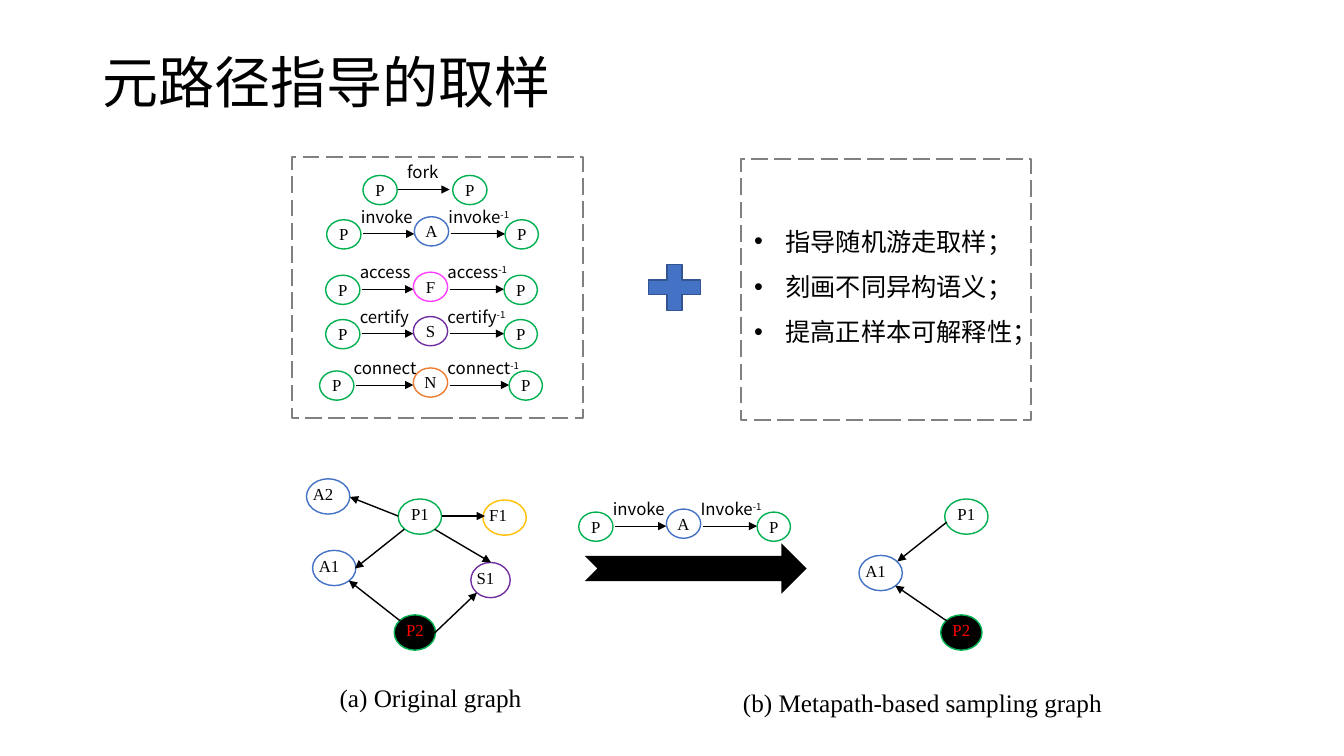
from dataclasses import dataclass

from lxml.etree import SubElement
from pptx import Presentation
from pptx.dml.color import RGBColor
from pptx.enum.dml import MSO_LINE
from pptx.enum.shapes import MSO_CONNECTOR as Conn, MSO_SHAPE as Geo
from pptx.enum.text import MSO_ANCHOR as Anchor, MSO_AUTO_SIZE as Fit, PP_ALIGN as Align
from pptx.oxml.ns import qn
from pptx.util import Inches, Pt


@dataclass(frozen=True)
class Theme:
    sans: str = "Noto Sans CJK SC"
    serif: str = "Times New Roman"
    black: str = "000000"
    red: str = "FF0000"
    green: str = "00B050"
    blue: str = "4472C4"
    navy: str = "325491"
    purple: str = "7030A0"
    gold: str = "FFC000"
    pink: str = "FF40FF"
    orange: str = "ED7D31"
    gray: str = "808080"
    title: int = 40
    body: int = 18
    small: int = 12


class Deck:
    def __init__(self, theme):
        self.theme = theme
        self.prs = Presentation()
        self.prs.slide_width = Inches(13.33)
        self.prs.slide_height = Inches(7.5)
        self.slide = self.prs.slides.add_slide(self.prs.slide_layouts[1])

    def place(self, shape, box):
        shape.left, shape.top, shape.width, shape.height = map(Inches, box)

    def run(self, para, text, size, font, color=None, base=None):
        run = para.add_run()
        run.text = text
        run.font.size = Pt(size)
        run.font.name = font
        run.font.color.rgb = RGBColor.from_string(color or self.theme.black)
        props = run.font._element
        SubElement(props, qn("a:ea")).set("typeface", font)
        if base:
            props.set("baseline", str(base * 1000))

    def title(self, text, box):
        shape = self.slide.shapes.title
        self.place(shape, box)
        shape.text_frame.vertical_anchor = Anchor.MIDDLE
        para = shape.text_frame.paragraphs[0]
        para.alignment = Align.LEFT
        para.line_spacing = 0.9
        self.run(para, text, self.theme.title, self.theme.sans)

    def bullets(self, items, box):
        shape = self.slide.placeholders[1]
        self.place(shape, box)
        frame = shape.text_frame
        frame.word_wrap = False
        frame.auto_size = Fit.SHAPE_TO_FIT_TEXT
        frame.vertical_anchor = Anchor.TOP
        for i, item in enumerate(items):
            para = frame.add_paragraph() if i else frame.paragraphs[0]
            para.line_spacing = 1.5
            para.space_before = Pt(0)
            props = para._p.get_or_add_pPr()
            props.set("marL", str(Inches(0.31)))
            props.set("indent", str(Inches(-0.31)))
            SubElement(props, qn("a:buFont")).set("typeface", "Arial")
            SubElement(props, qn("a:buChar")).set("char", "•")
            self.run(para, item, self.theme.body, self.theme.sans)

    def text(self, text, box, size, font, wrap=True, power=None):
        frame = self.slide.shapes.add_textbox(*map(Inches, box)).text_frame
        frame.word_wrap = wrap
        frame.auto_size = Fit.SHAPE_TO_FIT_TEXT
        para = frame.paragraphs[0]
        self.run(para, text, size, font)
        if power:
            self.run(para, power, size, font, base=30)

    def shape(self, geo, box, fill=None, line=None, width=1, dash=None):
        shape = self.slide.shapes.add_shape(geo, *map(Inches, box))
        shape.shadow.inherit = False
        if fill:
            shape.fill.solid()
            shape.fill.fore_color.rgb = RGBColor.from_string(fill)
        else:
            shape.fill.background()
        if line:
            shape.line.color.rgb = RGBColor.from_string(line)
            shape.line.width = Pt(width)
        else:
            shape.line.fill.background()
        if dash:
            shape.line.dash_style = dash
        return shape

    def node(self, name, box, line, fill=None, color=None, align=Align.CENTER):
        frame = self.shape(Geo.FLOWCHART_CONNECTOR, box, fill, line).text_frame
        frame.margin_left = frame.margin_right = 0
        frame.margin_top = frame.margin_bottom = 0
        frame.vertical_anchor = Anchor.TOP
        para = frame.paragraphs[0]
        para.alignment = align
        self.run(para, name, self.theme.small, self.theme.serif, color)

    def arrow(self, start, end, width=1.0):
        link = self.slide.shapes.add_connector(
            Conn.STRAIGHT, *map(Inches, (*start, *end)))
        link.line.color.rgb = RGBColor.from_string(self.theme.black)
        link.line.width = Pt(width)
        SubElement(link.line._get_or_add_ln(), qn("a:tailEnd")).set("type", "triangle")
        SubElement(link._element.spPr, qn("a:effectLst"))

    def label(self, text, x, y, power=None):
        self.text(text, (x, y, 0.94, 0.3), self.theme.small, self.theme.sans, power=power)

    def path_row(self, x, y, hub, color, verb, back, step=0.87, span=1.77):
        """Metapath P -> hub -> P with a verb over each arrow."""
        mid, end = x + step, x + span
        self.arrow((x + 0.36, y + 0.14), (mid, y + 0.14), 0.75)
        self.arrow((mid + 0.36, y + 0.14), (end, y + 0.14), 0.75)
        self.label(verb, x + 0.24, y - 0.18)
        self.label(back, mid + 0.24, y - 0.18, "-1")
        self.node("P", (x, y, 0.34, 0.29), self.theme.green)
        self.node("P", (end, y, 0.33, 0.29), self.theme.green)
        self.node(hub, (mid, y - 0.03, 0.34, 0.29), color)


def main():
    look = Theme()
    deck = Deck(look)
    deck.title("元路径指导的取样", (0.92, 0.4, 8.42, 0.89))
    deck.bullets(("指导随机游走取样；", "刻画不同异构语义；", "提高正样本可解释性；"),
                 (7.38, 2.04, 3.04, 1.85))

    # Dashed panels and plus sign
    for x, y in ((2.9, 1.56), (7.35, 1.58)):
        deck.shape(Geo.RECTANGLE, (x, y, 2.88, 2.59), line=look.gray, width=1.5,
                   dash=MSO_LINE.LONG_DASH)
    deck.shape(Geo.MATH_PLUS, (6.34, 2.54, 0.7, 0.62), look.blue, look.navy)

    # Metapaths
    deck.arrow((3.95, 1.88), (4.46, 1.88), 0.75)
    deck.label("fork", 3.94, 1.56)
    for x in (3.6, 4.49):
        deck.node("P", (x, 1.74, 0.34, 0.29), look.green)
    deck.path_row(3.24, 2.18, "A", look.blue, "invoke", "invoke")
    deck.path_row(3.23, 2.73, "F", look.pink, "access", "access")
    deck.path_row(3.23, 3.17, "S", look.purple, "certify", "certify")
    deck.path_row(3.17, 3.68, "N", look.orange, "connect", "connect", 0.93, 1.88)

    # Sampling step
    deck.path_row(5.74, 5.08, "A", look.blue, "invoke", "Invoke")
    deck.shape(Geo.NOTCHED_RIGHT_ARROW, (5.8, 5.39, 2.2, 0.5), look.black)

    # Nodes of both graphs
    for x in (3.95, 9.37):
        deck.node("P1", (x, 4.95, 0.43, 0.35), look.green)
    for x in (3.91, 9.33):
        deck.node("P2", (x, 6.1, 0.41, 0.35), look.green, look.black, look.red)
    for name, x, y, wide, color in (
            ("A2", 3.04, 4.75, 0.43, look.blue), ("A1", 3.1, 5.46, 0.43, look.blue),
            ("F1", 4.79, 4.96, 0.43, look.gold), ("S1", 4.67, 5.58, 0.39, look.purple),
            ("A1", 8.52, 5.51, 0.43, look.blue)):
        deck.node(name, (x, y, wide, 0.35), color, align=Align.LEFT)

    # Edges of both graphs
    for start, end in (
            ((3.95, 5.12), (3.47, 4.93)), ((4.01, 5.25), (3.52, 5.64)),
            ((4.31, 5.25), (4.87, 5.58)), ((4.38, 5.12), (4.81, 5.12)),
            ((3.97, 6.16), (3.46, 5.76)), ((4.31, 6.28), (4.73, 5.88)),
            ((9.39, 6.16), (8.88, 5.81)), ((9.39, 5.18), (8.9, 5.57))):
        deck.arrow(start, end)

    # Captions
    for text, box in (("(a) Original graph", (3.27, 6.72, 2.03, 0.4)),
                      ("(b) Metapath-based sampling graph", (7.27, 6.77, 3.8, 0.4))):
        deck.text(text, box, look.body, look.serif, wrap=False)

    deck.prs.save("out.pptx")


if __name__ == "__main__":
    main()
